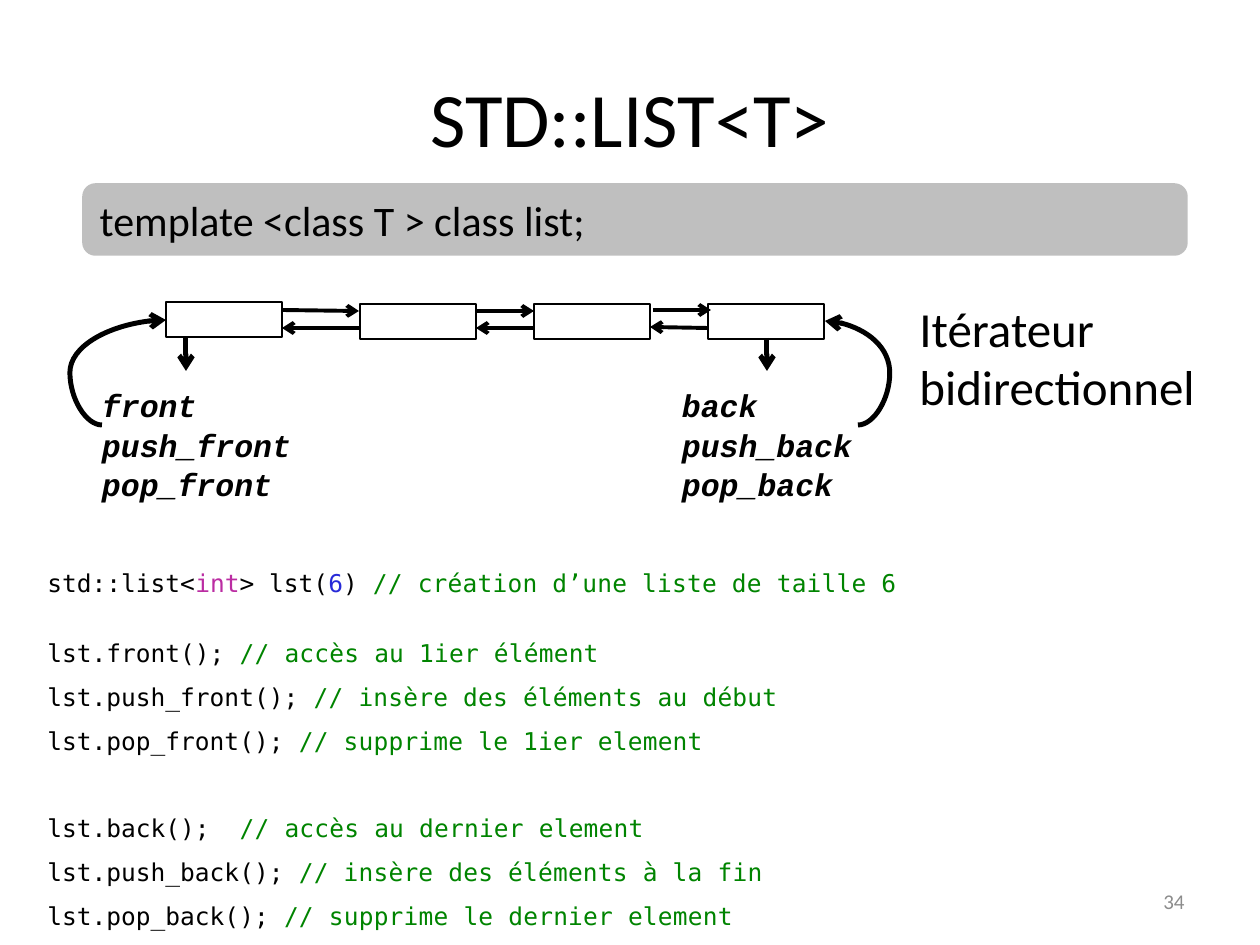
from pptx import Presentation
from pptx.dml.color import RGBColor
from pptx.enum.shapes import MSO_CONNECTOR, MSO_SHAPE
from pptx.enum.text import MSO_ANCHOR, PP_ALIGN
from pptx.oxml.ns import qn
from pptx.util import Emu, Pt
from lxml import etree

STRAIGHT, CURVE = MSO_CONNECTOR.STRAIGHT, MSO_CONNECTOR.CURVE
RECT, ROUND_RECT = MSO_SHAPE.RECTANGLE, MSO_SHAPE.ROUNDED_RECTANGLE
TOP, MIDDLE = MSO_ANCHOR.TOP, MSO_ANCHOR.MIDDLE
LEFT, CENTER, RIGHT = PP_ALIGN.LEFT, PP_ALIGN.CENTER, PP_ALIGN.RIGHT

BLACK = RGBColor(0x00, 0x00, 0x00)
SILVER = RGBColor(0xBF, 0xBF, 0xBF)
GREY = RGBColor(0x8C, 0x8C, 0x8C)
PURPLE = RGBColor(0xBB, 0x2C, 0xA2)
BLUE = RGBColor(0x27, 0x2A, 0xD8)
GREEN = RGBColor(0x00, 0x84, 0x00)

SANS, COURIER, MONO = "Calibri", "Courier New", "DejaVu Sans Mono"


def px(n):
    return Emu(round(n * 914400 / 126))


class Deck:
    def __init__(self, width, height):
        self.prs = Presentation()
        self.prs.slide_width, self.prs.slide_height = px(width), px(height)
        self.s = self.prs.slides.add_slide(self.prs.slide_layouts[6])

    def set_lines(self, tf, lines, size, font=SANS, color=BLACK, align=LEFT, anchor=TOP):
        tf.vertical_anchor = anchor
        for i, line in enumerate(lines):
            p = tf.add_paragraph() if i else tf.paragraphs[0]
            p.text = line
            p.alignment = align
            p.font.size, p.font.name = Pt(size), font
            p.font.color.rgb = color

    def text(self, x, y, w, h, lines, size, **style):
        tf = self.s.shapes.add_textbox(px(x), px(y), px(w), px(h)).text_frame
        tf.word_wrap = True
        self.set_lines(tf, lines, size, **style)
        return tf

    def methods(self, x, y, w, h, names):
        tf = self.text(x, y, w, h, names, 18, font=COURIER)
        tf.word_wrap = False
        tf.margin_left = tf.margin_right = tf.margin_top = tf.margin_bottom = 0
        for p in tf.paragraphs:
            p.font.bold = p.font.italic = True
            p.line_spacing = 1.05

    def listing(self, x, y, w, h, lines):
        tf = self.s.shapes.add_textbox(px(x), px(y), px(w), px(h)).text_frame
        tf.word_wrap = True
        for i, (before, spacing, runs) in enumerate(lines):
            p = tf.add_paragraph() if i else tf.paragraphs[0]
            p.space_before, p.line_spacing = Pt(before), spacing
            p.font.size, p.font.name = Pt(14), MONO
            for words, color in runs:
                r = p.add_run()
                r.text = words
                r.font.color.rgb = color
                if color == GREEN:
                    r.font._element.set("spc", "10")

    def box(self, kind, x, y, w, h, line, width, fill=None):
        sp = self.s.shapes.add_shape(kind, px(x), px(y), px(w), px(h))
        sp.shadow.inherit = False
        if fill is None:
            sp.fill.background()
        else:
            sp.fill.solid()
            sp.fill.fore_color.rgb = fill
        sp.line.color.rgb, sp.line.width = line, Pt(width)
        return sp

    def arrow(self, x1, y1, x2, y2, width, kind=STRAIGHT, bend=None):
        cn = self.s.shapes.add_connector(kind, px(x1), px(y1), px(x2), px(y2))
        cn.line.color.rgb, cn.line.width = BLACK, Pt(width)
        sp_pr = cn._element.spPr
        etree.SubElement(sp_pr.find(qn("a:ln")), qn("a:tailEnd"), type="arrow")
        etree.SubElement(sp_pr, qn("a:effectLst"))
        if bend is not None:
            guides = sp_pr.find(qn("a:prstGeom")).find(qn("a:avLst"))
            etree.SubElement(guides, qn("a:gd"), name="adj1", fmla=f"val {bend}")


def call(name, comment, before=3.3, spacing=1.3):
    return before, spacing, [(name, BLACK), (comment, GREEN)]


def main():
    deck = Deck(1260, 945)
    deck.text(63, 38, 1134, 157, ["STD::LIST<T>"], 44, align=CENTER, anchor=MIDDLE)

    banner = deck.box(ROUND_RECT, 84, 185, 1102, 69, SILVER, 2, SILVER)
    deck.set_lines(banner.text_frame, ["template <class T > class list;"], 24, anchor=MIDDLE)

    for x, y in [(166, 302), (360, 304), (534, 304), (708, 304)]:
        deck.box(RECT, x, y, 116, 35, BLACK, 0)
    for x1, y1, x2, y2 in [(282, 310, 359, 311), (476, 311, 534, 311), (653, 310, 711, 310),
                           (359, 328, 282, 328), (534, 328, 476, 328), (708, 328, 650, 327)]:
        deck.arrow(x1, y1, x2, y2, 2.25)
    for x in (186, 767):
        deck.arrow(x, 338, x, 371, 2.83)
    deck.arrow(102, 425, 166, 320, 2.83, CURVE, -50100)
    deck.arrow(858, 425, 825, 321, 2.83, CURVE, -96500)

    for x, w, end in [(102, 195, "front"), (682, 176, "back")]:
        deck.methods(x, 384, w, 81, [end, f"push_{end}", f"pop_{end}"])

    deck.text(907, 292, 336, 190, ["Itérateur bidirectionnel"], 28)

    deck.listing(35, 562, 1172, 367, [
        (0, 1.0, [("std::list<", BLACK), ("int", PURPLE), ("> lst(", BLACK), ("6", BLUE),
                  (")", BLACK), (" // création d’une liste de taille 6", GREEN)]),
        call("lst.front(); ", "// accès au 1ier élément", 23, 1.0),
        call("lst.push_front(); ", "// insère des éléments au début"),
        call("lst.pop_front(); ", "// supprime le 1ier element"),
        call("lst.back();  ", "// accès au dernier element", 28),
        call("lst.push_back(); ", "// insère des éléments à la fin"),
        call("lst.pop_back(); ", "// supprime le dernier element"),
    ])

    deck.text(903, 876, 294, 50, ["34"], 12, color=GREY, align=RIGHT, anchor=MIDDLE)
    deck.prs.save("out.pptx")


if __name__ == "__main__":
    main()
